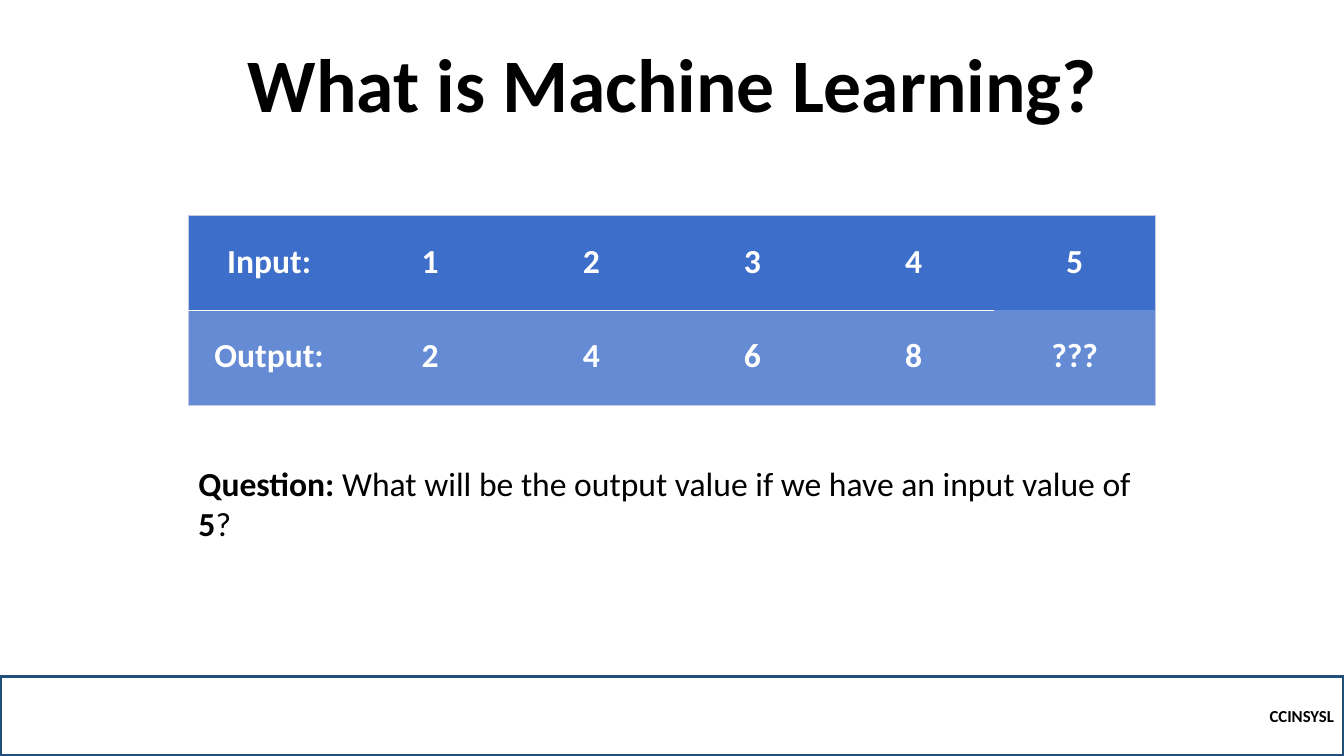
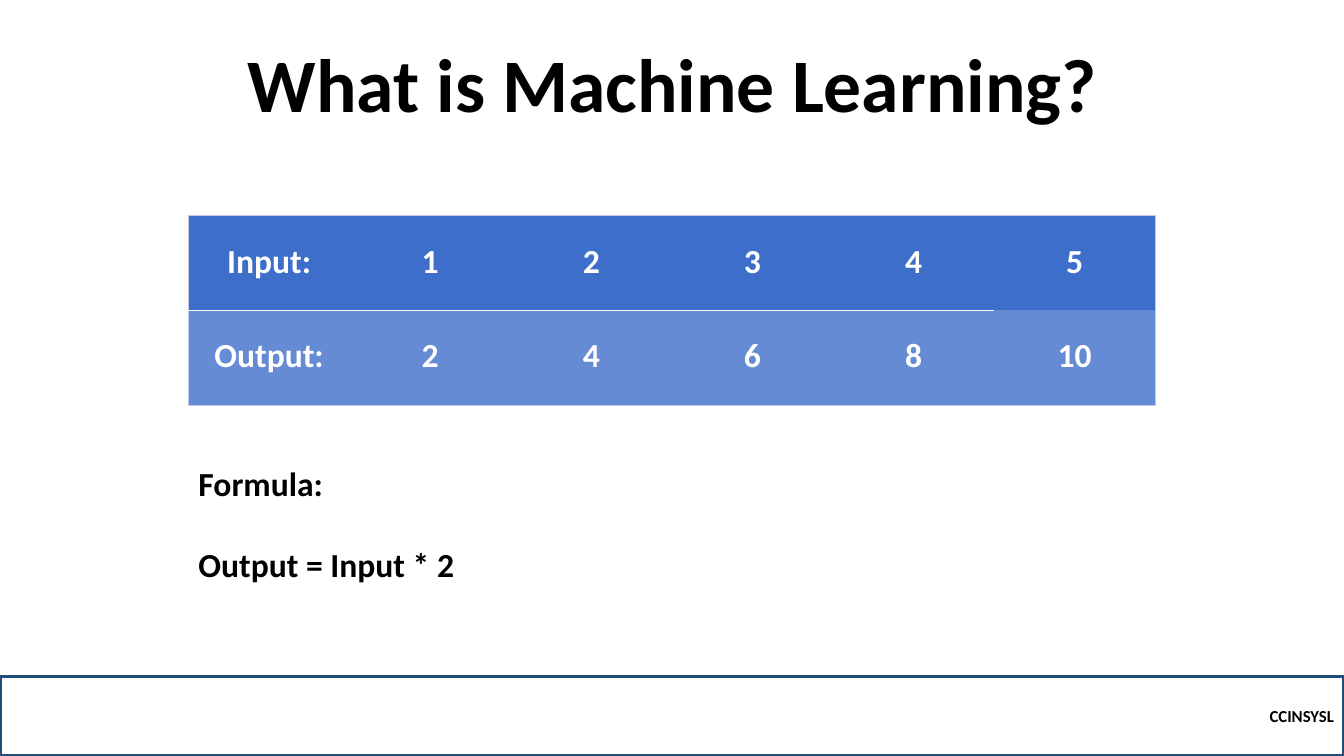
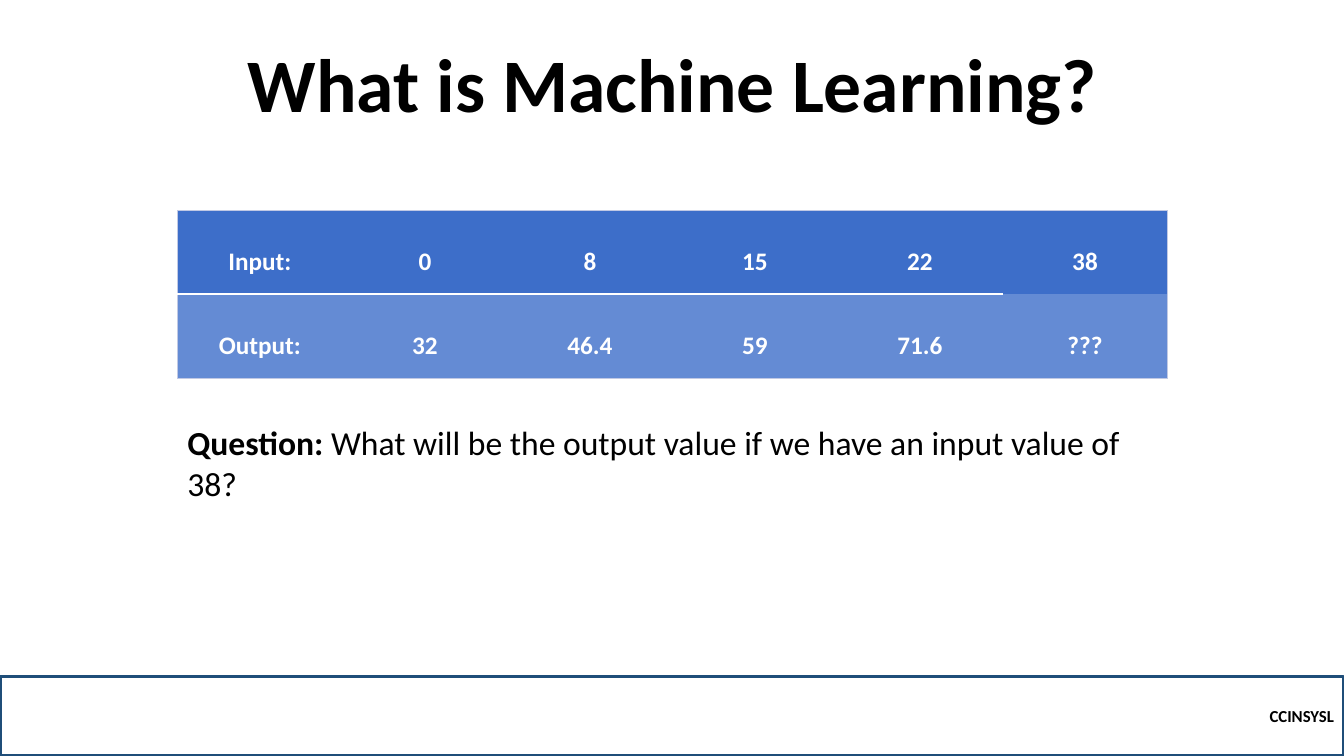
from pptx import Presentation
from pptx.dml.color import RGBColor
from pptx.enum.shapes import MSO_SHAPE
from pptx.enum.text import MSO_ANCHOR, MSO_AUTO_SIZE, PP_ALIGN
from pptx.oxml import parse_xml
from pptx.oxml.ns import nsdecls, qn
from pptx.util import Inches, Pt

RECTANGLE = MSO_SHAPE.RECTANGLE
MIDDLE, BOTTOM = MSO_ANCHOR.MIDDLE, MSO_ANCHOR.BOTTOM
NO_AUTOFIT = MSO_AUTO_SIZE.NONE
LEFT, CENTER, RIGHT = PP_ALIGN.LEFT, PP_ALIGN.CENTER, PP_ALIGN.RIGHT

FONT = "Calibri"
BLACK, WHITE, NAVY = "000000", "FFFFFF", "1F4E79"
INPUT_BLUE, OUTPUT_BLUE, EDGE = "3D6EC9", "648BD4", "C1C9E4"
PLAIN_TABLE_STYLE = "{2D5ABB26-0587-4C30-8999-92F81FD0307C}"
TITLE_ONLY = 5

TITLE = "What is Machine Learning?"
COURSE = "CCINSYSL"
TITLE_BOX = (1.67, 0.54, 10, 0.79)
BAND_BOX = (0, 6.71, 13.33, 0.79)
ASK = "What will be the output value if we have an input value of "

LARGE = {"box": (1.87, 2.14, 9.59, 1.88), "size": 24, "spacing": 1.5}
SMALL = {"box": (1.76, 2.09, 9.82, 1.66), "size": 18, "spacing": 2.0}

SLIDES = [
    {
        "table": LARGE,
        "inputs": ["1", "2", "3", "4", "5"],
        "outputs": ["2", "4", "6", "8", "???"],
        "caption_box": (1.87, 4.54, 9.59, 0.91),
        "caption": [[("Question: ", True), (ASK, False), ("5", True), ("?", False)]],
    },
    {
        "table": LARGE,
        "inputs": ["1", "2", "3", "4", "5"],
        "outputs": ["2", "4", "6", "8", "10"],
        "caption_box": (1.87, 4.54, 9.59, 1.31),
        "caption": [[("Formula:", True)], [("Output = Input * 2", True)]],
    },
    {
        "table": SMALL,
        "inputs": ["0", "8", "15", "22", "38"],
        "outputs": ["32", "46.4", "59", "71.6", "???"],
        "caption_box": (1.76, 4.14, 9.82, 0.91),
        "caption": [[("Question: ", True), (ASK + "38?", False)]],
    },
]


def rgb(value):
    return RGBColor.from_string(value)


def inches(box):
    return [Inches(length) for length in box]


def assign(target, values):
    for name, value in values.items():
        setattr(target, name, value)


def write(paragraph, runs, size, color=BLACK, **layout):
    assign(paragraph, layout)
    for text, bold in runs:
        run = paragraph.add_run()
        run.text = text
        assign(run.font, {"name": FONT, "size": Pt(size), "bold": bold})
        run.font.color.rgb = rgb(color)


def add_title(slide, box):
    title = slide.shapes.title
    assign(title, dict(zip(("left", "top", "width", "height"), inches(box))))
    frame = title.text_frame
    assign(frame, {"word_wrap": True, "auto_size": NO_AUTOFIT, "vertical_anchor": BOTTOM})
    write(frame.paragraphs[0], [(TITLE, True)], 54, alignment=CENTER, line_spacing=0.9)


def add_band(slide, box):
    band = slide.shapes.add_shape(RECTANGLE, *inches(box))
    band.shadow.inherit = False
    band.fill.background()
    band.line.color.rgb = rgb(NAVY)
    band.line.width = Pt(2.25)
    band.text_frame.vertical_anchor = MIDDLE
    write(band.text_frame.paragraphs[0], [(COURSE, True)], 12, alignment=RIGHT)


def add_caption(slide, box, lines):
    frame = slide.shapes.add_textbox(*inches(box)).text_frame
    frame.word_wrap = True
    for index, runs in enumerate(lines):
        paragraph = frame.add_paragraph() if index else frame.paragraphs[0]
        write(paragraph, runs, 24, alignment=LEFT, space_before=Pt(29 * index))


def set_borders(cell, borders):
    properties = cell._tc.get_or_add_tcPr()
    for index, (side, color, width) in enumerate(borders):
        properties.insert(index, parse_xml(
            f'<a:ln{side} {nsdecls("a")} w="{Pt(width)}"><a:solidFill>'
            f'<a:srgbClr val="{color}"/></a:solidFill></a:ln{side}>'))


def cell_borders(row, column, last):
    borders = []
    if column == 0:
        borders.append(("L", EDGE, 0.5))
    if column == last:
        borders.append(("R", EDGE, 0.5))
    if row == 0:
        borders.append(("T", EDGE, 0.5))
        if column < last:
            borders.append(("B", WHITE, 1.5))
    else:
        if column < last:
            borders.append(("T", WHITE, 1.5))
        borders.append(("B", EDGE, 0.5))
    return borders


def add_value_table(slide, box, size, spacing, inputs, outputs):
    rows = [["Input:", *inputs], ["Output:", *outputs]]
    last = len(inputs)
    table = slide.shapes.add_table(len(rows), last + 1, *inches(box)).table
    assign(table, {"first_row": False, "horz_banding": False})
    table._tbl.tblPr.find(qn("a:tableStyleId")).text = PLAIN_TABLE_STYLE
    for row, (texts, color) in enumerate(zip(rows, (INPUT_BLUE, OUTPUT_BLUE))):
        for column, text in enumerate(texts):
            cell = table.cell(row, column)
            cell.fill.solid()
            cell.fill.fore_color.rgb = rgb(color)
            set_borders(cell, cell_borders(row, column, last))
            write(cell.text_frame.paragraphs[0], [(text, True)], size, WHITE,
                  alignment=CENTER, line_spacing=spacing)


def add_example_slide(deck, content):
    slide = deck.slides.add_slide(deck.slide_layouts[TITLE_ONLY])
    add_title(slide, TITLE_BOX)
    add_band(slide, BAND_BOX)
    add_value_table(slide, **content["table"],
                    inputs=content["inputs"], outputs=content["outputs"])
    add_caption(slide, content["caption_box"], content["caption"])


def main():
    deck = Presentation()
    assign(deck, {"slide_width": Inches(13.33), "slide_height": Inches(7.5)})
    for content in SLIDES:
        add_example_slide(deck, content)
    deck.save("out.pptx")


if __name__ == "__main__":
    main()
